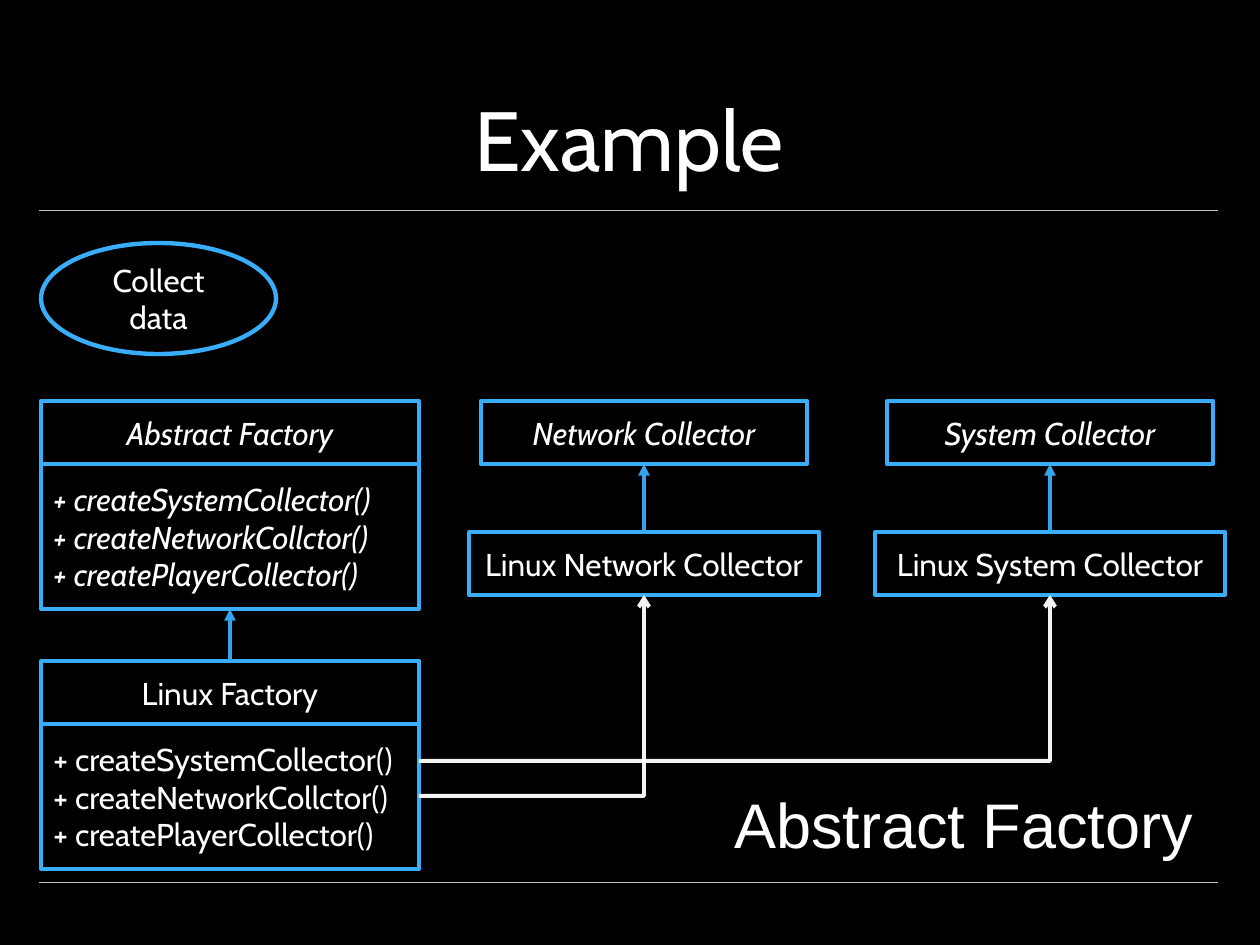
"""Build the Abstract Factory example slide with its class diagram."""
from pptx import Presentation, util as u
from pptx.dml.color import RGBColor
from pptx.enum import shapes, text
from pptx.oxml import parse_xml
from pptx.oxml.ns import nsdecls, qn

SCALE = 914400 / 126
COLORS = {"back": "000000", "ink": "FFFFFF", "outline": "39ADF9", "rule": "BFBFBF"}

METHODS = "\n".join([
    "+ createSystemCollector()",
    "+ createNetworkCollctor()",
    "+ createPlayerCollector()",
])
FACTORIES = [("Abstract Factory", 401, True), ("Linux Factory", 661, False)]
COLLECTORS = [("Network Collector", 644, 796), ("System Collector", 1050, 761)]
RULES = [210, 882]

LEFT, FACTORY_WIDTH = 41, 378
HEAD_HEIGHT, BODY_HEIGHT = 63, 145
COLLECTOR_TOP, LINUX_TOP = 401, 532
COLLECTOR_WIDTH, LINUX_WIDTH = 326, 350


def px(value):
    return u.Emu(round(value * SCALE))


def color(name):
    return RGBColor.from_string(COLORS[name])


def write(box, words, size=18, font="Cabin", italic=False, align="CENTER", anchor="MIDDLE", wrap=True):
    frame = box.text_frame
    frame.word_wrap = wrap
    frame.vertical_anchor = getattr(text.MSO_ANCHOR, anchor)
    para = frame.paragraphs[0]
    para.text = words.replace("\n", "\v")
    para.alignment = getattr(text.PP_ALIGN, align)
    for span in para.runs:
        span.font.name = font
        span.font.size = u.Pt(size)
        span.font.italic = italic
        span.font.color.rgb = color("ink")


def add_text(page, words, place, **style):
    write(page.shapes.add_textbox(*map(px, place)), words, **style)


def add_box(page, words, place, kind="RECTANGLE", **style):
    box = page.shapes.add_shape(getattr(shapes.MSO_SHAPE, kind), *map(px, place))
    box.shadow.inherit = False
    box.fill.background()
    box.line.color.rgb = color("outline")
    box.line.width = u.Pt(2.5)
    write(box, words, **style)


def add_line(page, start, end, shade="outline", width=2.25, head=None, bent=False):
    kind = shapes.MSO_CONNECTOR.ELBOW if bent else shapes.MSO_CONNECTOR.STRAIGHT
    line = page.shapes.add_connector(kind, *map(px, start + end))
    line.line.color.rgb = color(shade)
    line.line.width = u.Pt(width)
    props = line._element.spPr
    if bent:
        props.find(qn("a:prstGeom")).set("prst", "bentConnector2")
    if head:
        stroke = props.find(qn("a:ln"))
        tint = stroke.find(".//" + qn("a:srgbClr"))
        tint.append(parse_xml(f'<a:alpha {nsdecls("a")} val="95000"/>'))
        stroke.append(parse_xml(f'<a:tailEnd {nsdecls("a")} type="{head}"/>'))
    props.append(parse_xml(f'<a:effectLst {nsdecls("a")}/>'))


def add_factory(page, name, top, italic):
    body_top = top + HEAD_HEIGHT
    add_box(page, name, (LEFT, top, FACTORY_WIDTH, HEAD_HEIGHT), italic=italic)
    add_box(page, METHODS, (LEFT, body_top, FACTORY_WIDTH, BODY_HEIGHT), italic=italic, align="LEFT")


def add_collector(page, name, center):
    for words, top, width, italic in [
        (name, COLLECTOR_TOP, COLLECTOR_WIDTH, True),
        (f"Linux {name}", LINUX_TOP, LINUX_WIDTH, False),
    ]:
        add_box(page, words, (center - width / 2, top, width, HEAD_HEIGHT), italic=italic)
    add_line(page, (center, LINUX_TOP), (center, COLLECTOR_TOP + HEAD_HEIGHT), head="triangle")


def main():
    deck = Presentation()
    deck.slide_width, deck.slide_height = px(1260), px(945)
    page = deck.slides.add_slide(deck.slide_layouts[6])
    page.background.fill.solid()
    page.background.fill.fore_color.rgb = color("back")

    for height in RULES:
        add_line(page, (39, height), (1218, height), shade="rule", width=0.25)
    add_text(page, "Example", (88, 15, 1082, 180), size=48, anchor="BOTTOM")
    add_box(page, "Collect data", (LEFT, 243, 235, 111), kind="OVAL")

    for factory in FACTORIES:
        add_factory(page, *factory)
    middle = LEFT + FACTORY_WIDTH / 2
    abstract_bottom = FACTORIES[0][1] + HEAD_HEIGHT + BODY_HEIGHT
    add_line(page, (middle, FACTORIES[1][1]), (middle, abstract_bottom), head="triangle")

    for name, center, _ in COLLECTORS:
        add_collector(page, name, center)
    for _, center, height in COLLECTORS:
        add_line(page, (LEFT + FACTORY_WIDTH, height), (center, LINUX_TOP + HEAD_HEIGHT),
                 shade="ink", head="arrow", bent=True)

    add_text(page, "Abstract Factory", (722, 779, 490, 89), size=36, font="Arial",
             align="LEFT", anchor="TOP", wrap=False)
    deck.save("out.pptx")


if __name__ == "__main__":
    main()
